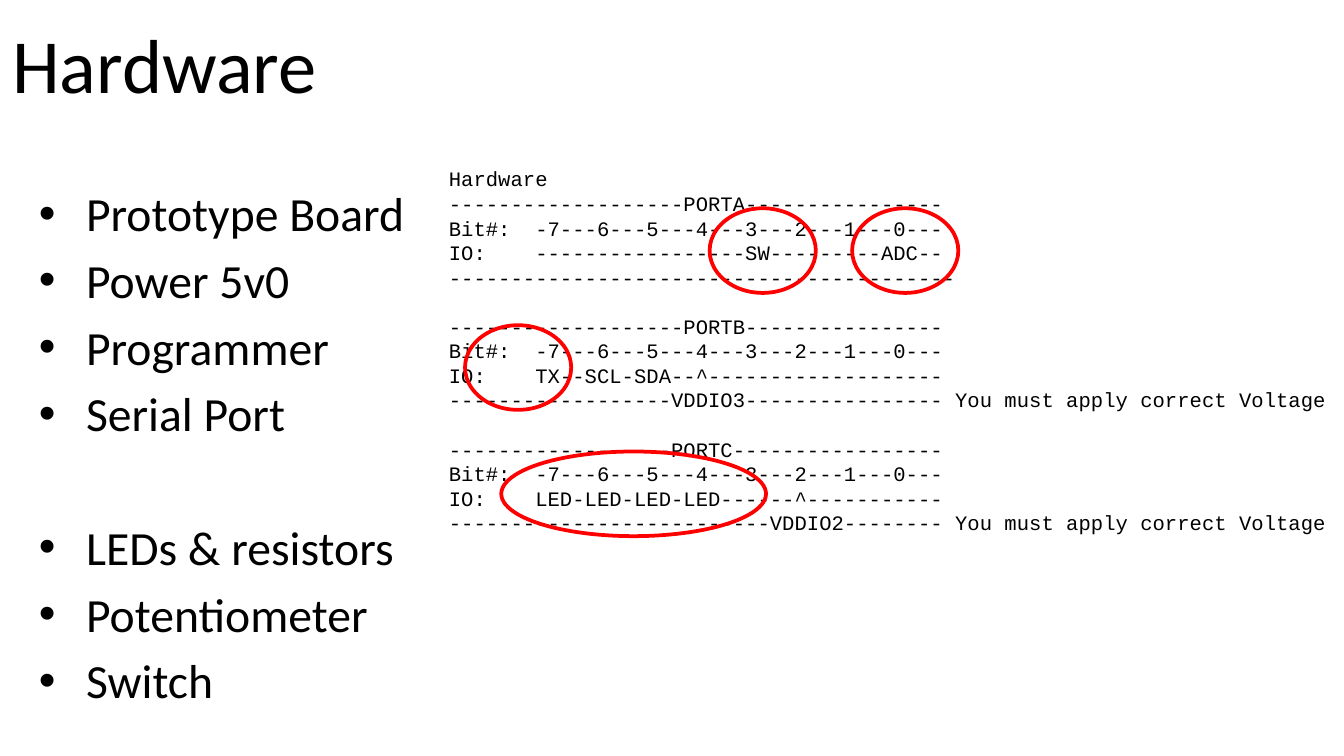
from pptx import Presentation
from pptx.dml.color import RGBColor
from pptx.enum.shapes import MSO_SHAPE as Shape
from pptx.enum.text import MSO_ANCHOR as Anchor, MSO_AUTO_SIZE as AutoSize, PP_ALIGN as Align
from pptx.util import Inches, Pt

# Content
TITLE = "Hardware"
PART_GROUPS = [
    ["Prototype Board", "Power 5v0", "Programmer", "Serial Port"],
    ["LEDs & resistors", "Potentiometer", "Switch"],
]
BITS = "Bit#:  -7---6---5---4---3---2---1---0---"
PORT_GROUPS = [
    ["Hardware",
     "-------------------PORTA----------------",
     BITS,
     "IO:    -----------------SW---------ADC--",
     "-----------------------------------------"],
    ["-------------------PORTB----------------",
     BITS,
     "IO:    TX--SCL-SDA--^-------------------",
     "------------------VDDIO3---------------- You must apply correct Voltage"],
    ["------------------PORTC-----------------",
     BITS,
     "IO:    LED-LED-LED-LED------^-----------",
     "--------------------------VDDIO2-------- You must apply correct Voltage"],
]
RING_HEIGHT = 0.63
RINGS = [  # left, top, width
    (6.34, 1.55, 0.79),  # ADC
    (3.73, 3.36, 1.97),  # LEDs
    (5.28, 1.55, 0.79),  # switch
    (3.46, 2.42, 0.79),  # serial port
]
COLOURS = {"text": "000000", "ring": "FF0000"}
FONTS = {
    "title": {"name": "Calibri", "size": Pt(41)},
    "parts": {"name": "Calibri", "size": Pt(25.5)},
    "ports": {"name": "Courier New", "size": Pt(11)},
}
PART_SPACE, PART_GAP = 5.1, 41     # points before a part, before a group
PORT_PITCH = 13.15                 # points from line to line
HANGING = Inches(0.35)


def colour(key):
    return RGBColor.from_string(COLOURS[key])


def place(shape, left, top, width, height):
    box = {"left": left, "top": top, "width": width, "height": height}
    for side, inches in box.items():
        setattr(shape, side, Inches(inches))


def style(font, key):
    for attribute, value in FONTS[key].items():
        setattr(font, attribute, value)
    font.color.rgb = colour("text")


def set_frame(frame, left_inset, anchor):
    settings = {"auto_size": AutoSize.NONE, "word_wrap": True,
                "vertical_anchor": anchor, "margin_left": Inches(left_inset),
                "margin_right": Inches(0.09), "margin_top": Inches(0.05),
                "margin_bottom": Inches(0.05)}
    for attribute, value in settings.items():
        setattr(frame, attribute, value)


def write_groups(frame, groups, key, space, gap):
    """Write one paragraph a line, with a wider space before each new group."""
    lines = [(line, gap if row == 0 else space)
             for group in groups for row, line in enumerate(group)]
    for number, (line, before) in enumerate(lines):
        paragraph = frame.add_paragraph() if number else frame.paragraphs[0]
        paragraph.text = line
        paragraph.alignment = Align.LEFT
        paragraph.space_before = Pt(before if number else 0)
        style(paragraph.runs[0].font, key)


# A 16:9 slide
deck = Presentation()
deck.slide_width = Inches(10)
deck.slide_height = deck.slide_width * 9 // 16
slide = deck.slides.add_slide(deck.slide_layouts[1])

# Title
title = slide.shapes.title
place(title, 0, 0, 9, 0.94)
set_frame(title.text_frame, 0.09, Anchor.MIDDLE)
write_groups(title.text_frame, [[TITLE]], "title", 0, 0)

# Bulleted list of parts
parts = slide.placeholders[1]
place(parts, 0.2, 1.32, 9, 3.71)
set_frame(parts.text_frame, 0.09, Anchor.TOP)
write_groups(parts.text_frame, PART_GROUPS, "parts", PART_SPACE, PART_GAP)
for paragraph in parts.text_frame.paragraphs:
    properties = paragraph._p.get_or_add_pPr()
    properties.set("marL", str(HANGING))
    properties.set("indent", str(-HANGING))

# Port listing
ports = slide.shapes.add_textbox(0, 0, 0, 0)
place(ports, 2.87, 1.19, 7.46, 3.25)
set_frame(ports.text_frame, 0.47, Anchor.TOP)
write_groups(ports.text_frame, PORT_GROUPS, "ports", 0, PORT_PITCH)
for paragraph in ports.text_frame.paragraphs:
    paragraph.line_spacing = Pt(PORT_PITCH)

# Rings around the pins in use
for left, top, width in RINGS:
    ring = slide.shapes.add_shape(Shape.OVAL, 0, 0, 0, 0)
    place(ring, left, top, width, RING_HEIGHT)
    ring.shadow.inherit = False
    ring.fill.background()
    ring.line.color.rgb = colour("ring")
    ring.line.width = Pt(2)

deck.save("out.pptx")
